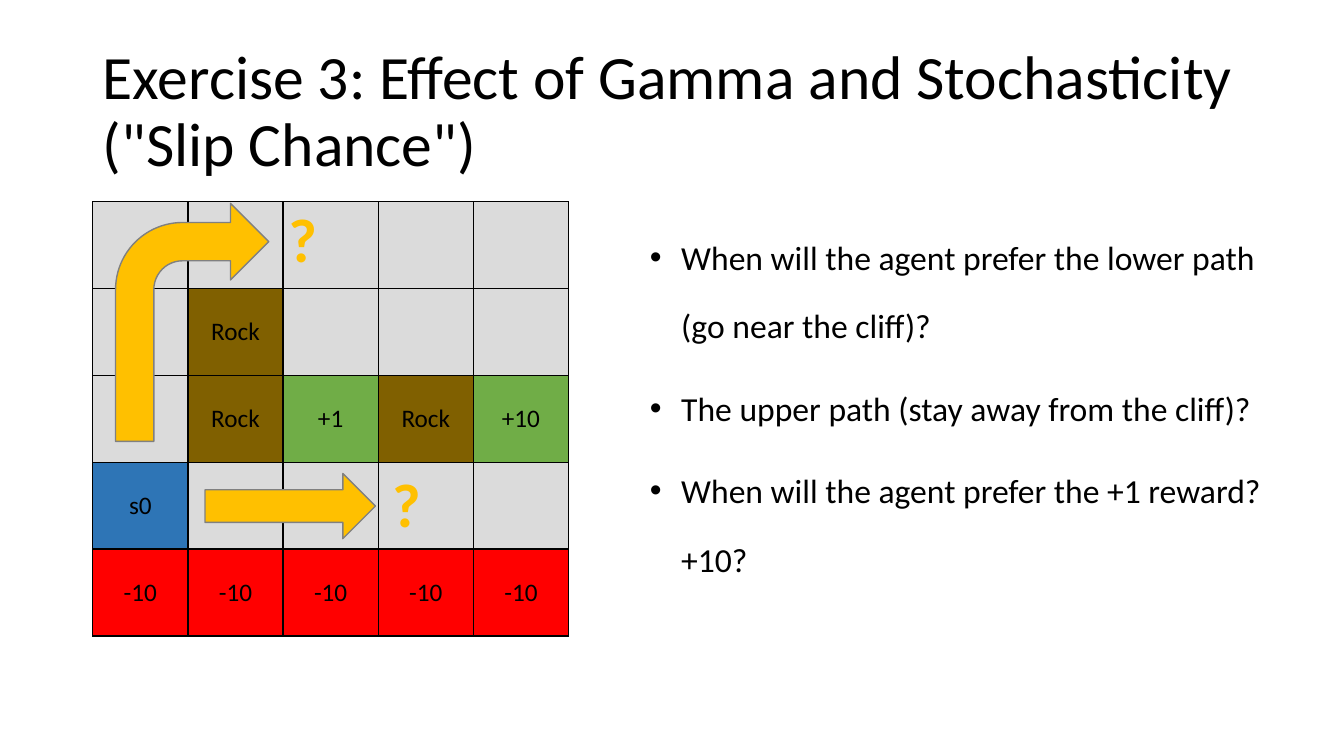
from dataclasses import dataclass
from typing import Any

from lxml import etree
from pptx import Presentation
from pptx import util as u
from pptx.dml.color import RGBColor
from pptx.enum import shapes, text
from pptx.oxml import ns

BLACK = RGBColor(0x00, 0x00, 0x00)
GREY = RGBColor(0x80, 0x80, 0x80)
FLOOR = RGBColor(0xDB, 0xDB, 0xDB)
ROCK = RGBColor(0x80, 0x60, 0x00)
REWARD = RGBColor(0x70, 0xAD, 0x47)
START = RGBColor(0x2E, 0x75, 0xB6)
CLIFF = RGBColor(0xFF, 0x00, 0x00)
GOLD = RGBColor(0xFF, 0xC0, 0x00)

# The grid world sets the unit for the whole slide
LEFT, TOP = 0.92, 2.0
COLUMN, ROW = 4.72 / 5, 4.31 / 5

WORLD = [
    ["", "", "", "", ""],
    ["", "Rock", "", "", ""],
    ["", "Rock", "+1", "Rock", "+10"],
    ["s0", "", "", "", ""],
    ["-10"] * 5,
]
CELL_FILLS = {"": FLOOR, "Rock": ROCK, "+1": REWARD, "+10": REWARD,
              "s0": START, "-10": CLIFF}
QUESTIONS = [
    "When will the agent prefer the lower path (go near the cliff)?",
    "The upper path (stay away from the cliff)?",
    "When will the agent prefer the +1 reward? +10?",
]


@dataclass(frozen=True)
class Area:
    """A place in columns and rows of the grid world."""
    column: float
    row: float
    columns: float
    rows: float

    def box(self) -> tuple[int, int, int, int]:
        return (u.Inches(LEFT + self.column * COLUMN),
                u.Inches(TOP + self.row * ROW),
                u.Inches(self.columns * COLUMN),
                u.Inches(self.rows * ROW))


@dataclass(frozen=True)
class PathChoice:
    kind: Any
    arrow: Area
    mark: Area


HEADING = Area(0, -1.86, 12.18, 1.68)
GRID_WORLD = Area(0, 0, 5, 5)
DISCUSSION = Area(5.75, 0.02, 6.91, 5.5)
PATHS = [
    PathChoice(shapes.MSO_SHAPE.BENT_ARROW,
               Area(0.24, 0.02, 1.61, 2.74), Area(1.95, -0.06, 0.38, 0.97)),
    PathChoice(shapes.MSO_SHAPE.RIGHT_ARROW,
               Area(1.18, 3.13, 1.79, 0.75), Area(3.04, 2.98, 0.38, 0.97)),
]


def set_all(target: Any, formats: dict[str, Any]) -> None:
    for name, value in formats.items():
        setattr(target, name, value)


def write(paragraph: Any, words: str, size: int, color: RGBColor = BLACK,
          bold: bool = False, **formats: Any) -> None:
    paragraph.text = words
    set_all(paragraph, formats)
    set_all(paragraph.font,
            {"name": "Calibri", "size": u.Pt(size), "bold": bold})
    paragraph.font.color.rgb = color


def draw_heading(slide: Any) -> None:
    heading = slide.shapes.title
    set_all(heading, dict(zip(("left", "top", "width", "height"),
                              HEADING.box())))
    heading.text_frame.vertical_anchor = text.MSO_ANCHOR.MIDDLE
    write(heading.text_frame.paragraphs[0],
          'Exercise 3: Effect of Gamma and Stochasticity ("Slip Chance")',
          44, line_spacing=0.9, alignment=text.PP_ALIGN.LEFT)


def add_borders(cell: Any) -> None:
    properties = cell._tc.get_or_add_tcPr()
    for side in ("a:lnL", "a:lnR", "a:lnT", "a:lnB"):
        line = etree.SubElement(properties, ns.qn(side), w=str(u.Pt(1)))
        fill = etree.SubElement(line, ns.qn("a:solidFill"))
        etree.SubElement(fill, ns.qn("a:srgbClr"), val=str(BLACK))


def draw_world(slide: Any) -> None:
    world = slide.shapes.add_table(5, 5, *GRID_WORLD.box()).table
    set_all(world, {"first_row": False, "horz_banding": False})
    for row, labels in enumerate(WORLD):
        for column, label in enumerate(labels):
            cell = world.cell(row, column)
            add_borders(cell)
            cell.fill.solid()
            cell.fill.fore_color.rgb = CELL_FILLS[label]
            cell.vertical_anchor = text.MSO_ANCHOR.MIDDLE
            write(cell.text_frame.paragraphs[0], label, 18,
                  alignment=text.PP_ALIGN.CENTER)


def add_bullet(paragraph: Any) -> None:
    properties = paragraph._p.get_or_add_pPr()
    indent = u.Inches(0.31)
    properties.set("marL", str(indent))
    properties.set("indent", str(-indent))
    bullet_font = etree.Element(ns.qn("a:buFont"), typeface="Arial")
    bullet = etree.Element(ns.qn("a:buChar"), char="•")
    defaults = properties.find(ns.qn("a:defRPr"))
    for part in (bullet_font, bullet):
        if defaults is None:
            properties.append(part)
        else:
            defaults.addprevious(part)


def draw_questions(slide: Any) -> None:
    frame = slide.shapes.add_textbox(*DISCUSSION.box()).text_frame
    frame.word_wrap = True
    for number, question in enumerate(QUESTIONS):
        paragraph = frame.add_paragraph() if number else frame.paragraphs[0]
        write(paragraph, question, 24, line_spacing=1.7,
              space_before=u.Pt(10))
        add_bullet(paragraph)


def draw_path(slide: Any, choice: PathChoice) -> None:
    arrow = slide.shapes.add_shape(choice.kind, *choice.arrow.box())
    arrow.shadow.inherit = False
    arrow.fill.solid()
    arrow.fill.fore_color.rgb = GOLD
    arrow.line.color.rgb = GREY
    arrow.line.width = u.Pt(1)
    mark = slide.shapes.add_textbox(*choice.mark.box()).text_frame
    set_all(mark, {"word_wrap": True,
                   "auto_size": text.MSO_AUTO_SIZE.SHAPE_TO_FIT_TEXT})
    write(mark.paragraphs[0], "?", 44, GOLD, bold=True)


def main() -> None:
    deck = Presentation()
    set_all(deck, {"slide_width": u.Inches(13.33),
                   "slide_height": u.Inches(7.5)})
    slide = deck.slides.add_slide(deck.slide_layouts.get_by_name("Title Only"))
    draw_heading(slide)
    draw_world(slide)
    draw_questions(slide)
    for choice in PATHS:
        draw_path(slide, choice)
    deck.save("out.pptx")


if __name__ == "__main__":
    main()
